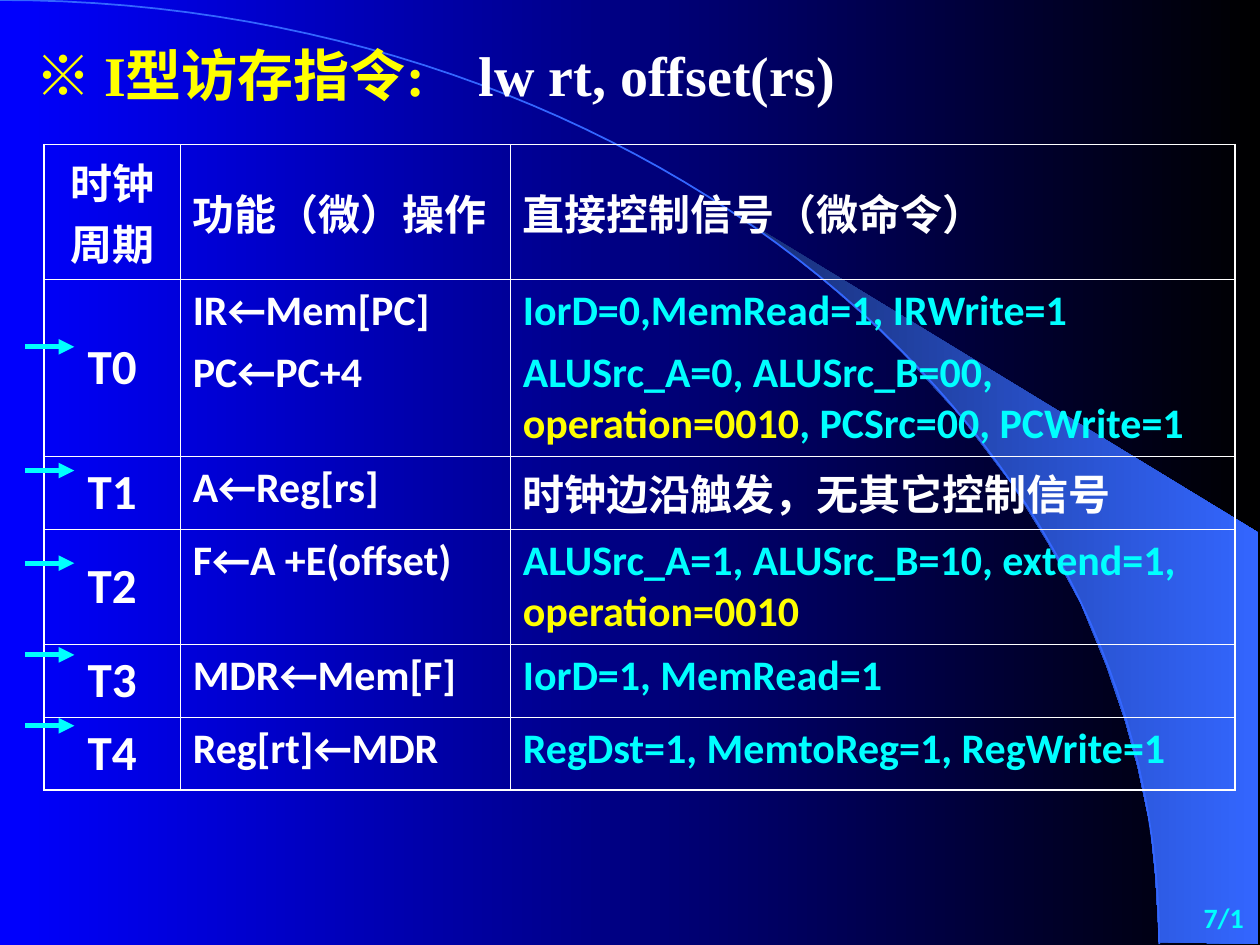
from lxml.etree import SubElement
from pptx import Presentation
from pptx.dml.color import RGBColor
from pptx.enum.shapes import MSO_CONNECTOR
from pptx.enum.text import MSO_ANCHOR, MSO_AUTO_SIZE, PP_ALIGN
from pptx.oxml.ns import qn
from pptx.util import Inches, Pt

COLORS = {"white": "FFFFFF", "cyan": "00FFFF", "yellow": "FFFF00", "blue": "0000FF",
          "black": "000000", "arc": "3366FF", "navy": "182F76"}
RGB = {name: RGBColor.from_string(value) for name, value in COLORS.items()}
CJK = "Noto Sans CJK SC"

deck = Presentation()
deck.slide_width, deck.slide_height = Inches(10), Inches(7.5)
COL, ROW = deck.slide_width / 100, deck.slide_height / 100  # 100 x 100 grid
page = deck.slides.add_slide(deck.slide_layouts[5])


def set_gradient(fill, first, last):
    fill.gradient()
    fill.gradient_angle = 0
    for stop, name, position in zip(fill.gradient_stops, (first, last), (0, 1)):
        stop.color.rgb = RGB[name]
        stop.position = position


def write(paragraph, spans, size, font):
    """Fill a paragraph with (text, colour) spans in one bold font."""
    paragraph.font.size, paragraph.font.bold, paragraph.font.name = Pt(size), True, font
    for text, color in spans:
        span = paragraph.add_run()
        span.text = text
        span.font.color.rgb = RGB[color]
        SubElement(span.font._element, qn("a:ea")).set("typeface", CJK)


# Background with the wedge and the arc
set_gradient(page.background.fill, "blue", "black")
wedge = [(92, 99.7), (99.9, 99.9), (99.9, 56.4), (58.9, 23.1), (62.4, 26.5), (65.3, 29.6),
         (68.5, 33.3), (71.6, 37.3), (76.2, 44), (80.3, 51.2), (83.2, 57.5), (85.8, 63.9),
         (87.8, 70.4), (89.3, 76.3), (90.3, 81.2), (91.3, 87.5), (91.7, 92.8)]
controls = [(0, 0), (50.8, 0), (92, 44.7), (92, 99.9)]
arc = []
for step in range(61):
    t = step / 60
    weights = ((1 - t) ** 3, 3 * t * (1 - t) ** 2, 3 * t * t * (1 - t), t ** 3)
    arc.append(tuple(sum(w * c[axis] for w, c in zip(weights, controls)) for axis in (0, 1)))
for points, closed in ((wedge, True), (arc, False)):
    corners = [(x * COL, y * ROW) for x, y in points]
    builder = page.shapes.build_freeform(*corners[0])
    builder.add_line_segments(corners[1:], close=closed)
    outline = builder.convert_to_shape()
    outline.shadow.inherit = False
    if closed:
        set_gradient(outline.fill, "navy", "arc")
        outline.line.fill.background()
    else:
        outline.fill.background()
        outline.line.color.rgb, outline.line.width = RGB["arc"], Pt(1)

# Table: each cell is a list of paragraphs, each paragraph a list of spans
rows = [
    (12, [[("时钟周期", "white")]], [[("功能（微）操作", "white")]],
     [[("直接控制信号（微命令）", "white")]]),
    (18.4, [[("T0", "white")]], [[("IR←Mem[PC]", "white")], [("PC←PC+4", "white")]],
     [[("IorD=0,MemRead=1, IRWrite=1", "cyan")],
      [("ALUSrc_A=0, ALUSrc_B=00, ", "cyan"), ("operation=0010", "yellow"),
       (", PCSrc=00, PCWrite=1", "cyan")]]),
    (7.6, [[("T1", "white")]], [[("A←Reg[rs]", "white")]],
     [[("时钟边沿触发，无其它控制信号", "white")]]),
    (12, [[("T2", "white")]], [[("F←A +E(offset)", "white")]],
     [[("ALUSrc_A=1, ALUSrc_B=10, extend=1, ", "cyan"), ("operation=0010", "yellow")]]),
    (7.6, [[("T3", "white")]], [[("MDR←Mem[F]", "white")]],
     [[("IorD=1, MemRead=1", "cyan")]]),
    (7.6, [[("T4", "white")]], [[("Reg[rt]←MDR", "white")]],
     [[("RegDst=1, MemtoReg=1, RegWrite=1", "cyan")]]),
]
widths = (10.8, 26.2, 57.5)
last_row, last_column = len(rows) - 1, len(widths) - 1
frame = page.shapes.add_table(len(rows), len(widths), int(3.5 * COL), int(15.3 * ROW),
                              int(sum(widths) * COL), int(sum(r[0] for r in rows) * ROW))
table = frame.table
table.first_row = table.horz_banding = False
for column, width in zip(table.columns, widths):
    column.width = int(width * COL)
for i, (height, *contents) in enumerate(rows):
    table.rows[i].height = int(height * ROW)
    for j, paragraphs in enumerate(contents):
        cell = table.cell(i, j)
        if j == 0 or i == 0:
            cell.vertical_anchor = MSO_ANCHOR.MIDDLE
        for k, spans in enumerate(paragraphs):
            paragraph = cell.text_frame.paragraphs[0] if k == 0 else cell.text_frame.add_paragraph()
            if k:
                paragraph.space_before = Pt(6)
            paragraph.alignment = PP_ALIGN.CENTER if j == 0 else PP_ALIGN.LEFT
            write(paragraph, spans, 28 if j == 0 and i else 24,
                  "Calibri" if i else "Times New Roman")
        # Thick outer border, thin inner lines
        properties = cell._tc.get_or_add_tcPr()
        outer_sides = {"a:lnL": j == 0, "a:lnR": j == last_column,
                       "a:lnT": i == 0, "a:lnB": i == last_row}
        for side, outer in outer_sides.items():
            border = SubElement(properties, qn(side), w=str(Pt(1.08 if outer else 0.45)))
            solid = SubElement(border, qn("a:solidFill"))
            SubElement(solid, qn("a:srgbClr"), val=COLORS["white"])
        cell.fill.background()

# Title, brought in front of the background
title = page.shapes.title
title.left, title.top = int(1.8 * COL), int(3.6 * ROW)
title.width, title.height = int(78.1 * COL), int(8.5 * ROW)
page.shapes._spTree.append(title._element)
heading = title.text_frame
heading.auto_size, heading.vertical_anchor = MSO_AUTO_SIZE.NONE, MSO_ANCHOR.TOP
paragraph = heading.paragraphs[0]
paragraph.alignment = PP_ALIGN.LEFT
tabs = SubElement(paragraph._p.get_or_add_pPr(), qn("a:tabLst"))
SubElement(tabs, qn("a:tab"), pos=str(int(35.2 * COL)), algn="l")
write(paragraph, [("※ ", "yellow"), ("I型访存指令:\t", "yellow"),
                  ("lw rt, offset(rs)", "white")], 32, "Times New Roman")
paragraph.runs[0].font.name = CJK

# Arrows pointing at the clock cycles
for level in (36.7, 49.8, 59.6, 69.3, 76.8):
    arrow = page.shapes.add_connector(MSO_CONNECTOR.STRAIGHT, int(2 * COL), int(level * ROW),
                                      int(5.9 * COL), int(level * ROW))
    arrow.line.color.rgb, arrow.line.width = RGB["cyan"], Pt(3)
    SubElement(arrow.line._get_or_add_ln(), qn("a:tailEnd"), type="triangle")
    SubElement(arrow._element.spPr, qn("a:effectLst"))

# Page number
box = page.shapes.add_textbox(int(87.9 * COL), int(94.5 * ROW), int(11.8 * COL), int(5.2 * ROW))
box.text_frame.word_wrap = True
box.text_frame.vertical_anchor = MSO_ANCHOR.MIDDLE
paragraph = box.text_frame.paragraphs[0]
paragraph.alignment = PP_ALIGN.RIGHT
write(paragraph, [("7/1", "cyan")], 16, "Calibri")

deck.save("out.pptx")
